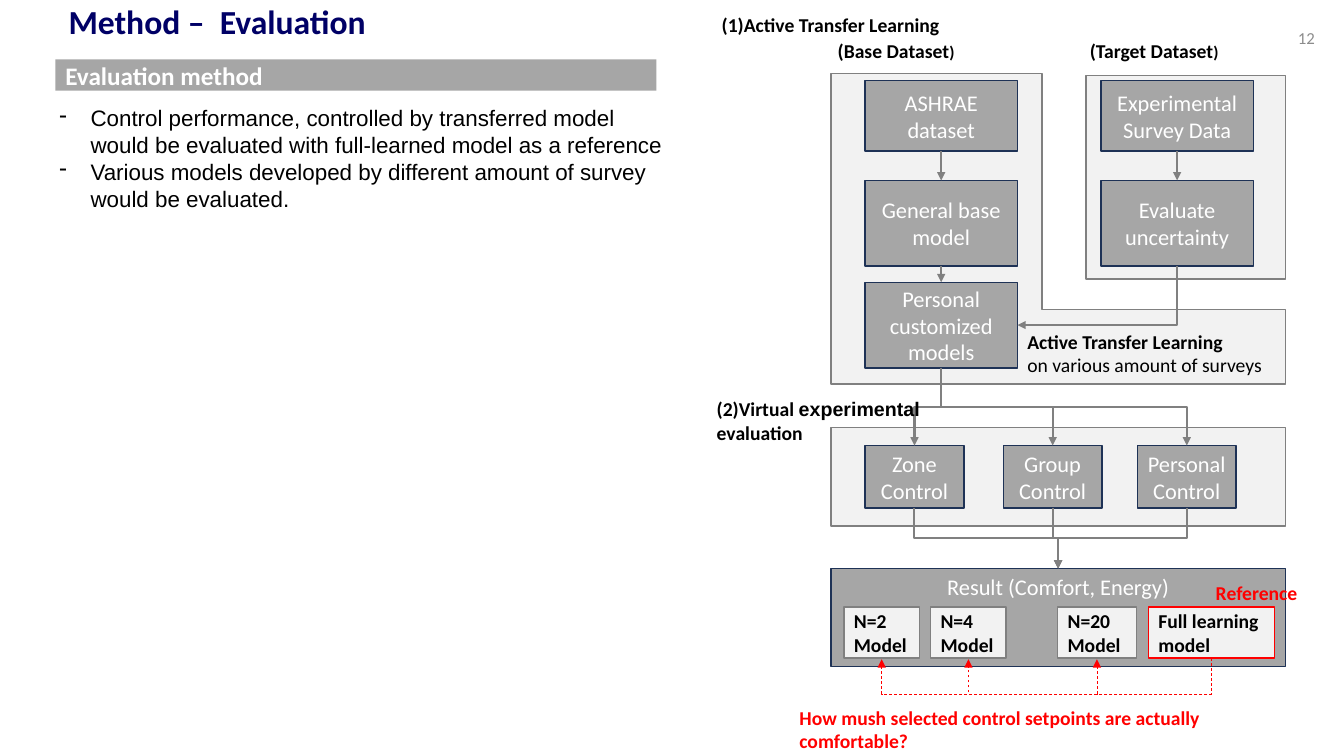
from pptx import Presentation
from pptx.dml.color import RGBColor
from pptx.enum.dml import MSO_LINE
from pptx.enum.shapes import MSO_CONNECTOR as LINK, MSO_SHAPE as SHAPE
from pptx.enum.text import MSO_ANCHOR as ANCHOR, PP_ALIGN as ALIGN
from pptx.oxml.ns import qn
from pptx.util import Inches, Pt
from lxml import etree

hex_color = RGBColor.from_string
GRAY, PALE, EDGE, NAVY = "A6A6A6", "F2F2F2", "808080", "1E3256"
WHITE, BLACK, RED = "FFFFFF", "000000", "FF0000"
TOP, BOTTOM, RIGHT = 0, 2, 3

deck = Presentation()
deck.slide_width, deck.slide_height = Inches(13.33), Inches(7.5)
slide = deck.slides.add_slide(deck.slide_layouts[5])
shapes = slide.shapes


def add_box(place, text="", size=14, color=BLACK, bold=False, align=ALIGN.LEFT,
            anchor=ANCHOR.MIDDLE, fill=None, line=None, kind=SHAPE.RECTANGLE, font="Calibri"):
    """Add a filled shape, or a text box when there is no fill; "|" parts the runs."""
    place = [Inches(value) for value in place]
    if fill:
        box = shapes.add_shape(kind, *place)
        box.shadow.inherit = False
        box.fill.solid()
        box.fill.fore_color.rgb = hex_color(fill)
        if line:
            box.line.color.rgb = hex_color(line)
            box.line.width = Pt(1)
        else:
            box.line.fill.background()
    else:
        box = shapes.add_textbox(*place)
    frame = box.text_frame
    frame.word_wrap = True
    frame.vertical_anchor = anchor
    frame.text = text
    for para in frame.paragraphs:
        para.alignment = align
        para.text, *others = para.text.split("|")
        for part in others:
            para.add_run().text = part
        for span in para.runs:
            span.font.name, span.font.size, span.font.bold = font, Pt(size), bold
            span.font.color.rgb = hex_color(color)
    return box


def add_arrow(start, end, kind=LINK.ELBOW, end_side=TOP, drop=None, color=EDGE, width=1.5):
    """Join the bottom of one box to a side of another; drop is the bend's depth."""
    arrow = shapes.add_connector(kind, 0, 0, 0, 0)
    arrow.begin_connect(start, BOTTOM)
    arrow.end_connect(end, end_side)
    arrow.line.color.rgb = hex_color(color)
    arrow.line.width = Pt(width)
    if color == RED:
        arrow.line.dash_style = MSO_LINE.DASH
    properties = arrow._element.spPr
    etree.SubElement(properties.find(qn("a:ln")), qn("a:tailEnd"), type="triangle")
    etree.SubElement(properties, qn("a:effectLst"))
    if kind == LINK.STRAIGHT:
        return
    # An elbow that leaves downwards is a horizontal one turned a quarter
    x1, y1, x2, y2 = arrow.begin_x, arrow.begin_y, arrow.end_x, arrow.end_y
    length, breadth = max(y2 - y1, Inches(0.01)), abs(x2 - x1)
    arrow.left = (x1 + x2 - length) // 2
    arrow.top = (2 * y1 + length - breadth) // 2
    arrow.width, arrow.height = length, breadth
    frame = properties.find(qn("a:xfrm"))
    for name in ("flipH", "flipV"):
        frame.attrib.pop(name, None)
    frame.set("rot", "16200000" if x2 > x1 else "5400000")
    if x2 > x1:
        frame.set("flipH", "1")
    geometry = properties.find(qn("a:prstGeom"))
    if end_side == RIGHT:
        geometry.set("prst", "bentConnector2")
    elif drop:
        bend = round(100000 * Inches(drop) / length)
        etree.SubElement(geometry.find(qn("a:avLst")), qn("a:gd"), name="adj1", fmla=f"val {bend}")


# Title, page number and section bar
title = shapes.title
title.left, title.top, title.width, title.height = [Inches(v) for v in (0.58, 0, 7.58, 0.44)]
title.text_frame.text = "Method –  Evaluation"
title.text_frame.vertical_anchor = ANCHOR.TOP
para = title.text_frame.paragraphs[0]
para.alignment, para.line_spacing = ALIGN.LEFT, 0.9
span = para.runs[0]
span.font.name, span.font.size, span.font.bold = "Calibri", Pt(24), True
span.font.color.rgb = hex_color("000066")
add_box((12.57, 0.18, 0.57, 0.4), "12", 12, "8C8C8C", align=ALIGN.RIGHT)
add_box((0.55, 0.59, 5.96, 0.31), "Evaluation method", 18, WHITE, True, fill=GRAY)

# Bulleted notes
notes = add_box(
    (0.49, 0.98, 6.31, 1.18),
    "Control performance, controlled by transferred model would be evaluated "
    "with full-learned model as a reference\n"
    "Various models developed by different amount of survey would be evaluated.",
    16, font="Arial")
for para in notes.text_frame.paragraphs:
    indents = para._p.get_or_add_pPr()
    indents.set("marL", str(Inches(0.31)))
    indents.set("indent", str(-Inches(0.31)))
    etree.SubElement(indents, qn("a:buChar"), char="-")

# Background panels
add_box((10.77, 0.75, 1.98, 2.02), fill=PALE, line=EDGE)
add_box((8.24, 4.24, 4.51, 0.98), fill=PALE, line=EDGE)
base_panel = add_box((8.24, 0.73, 4.51, 3.08), fill=PALE, line=EDGE, kind=SHAPE.CORNER)
base_panel.adjustments[0], base_panel.adjustments[1] = 0.24, 0.68

# Process steps
steps = {}
for name, x, y, width, height, text in [
    ("survey", 10.92, 0.8, 1.51, 0.7, "Experimental\nSurvey Data"),
    ("uncertainty", 10.92, 1.79, 1.51, 0.85, "Evaluate\nuncertainty"),
    ("dataset", 8.58, 0.8, 1.51, 0.7, "ASHRAE\ndataset"),
    ("general", 8.58, 1.79, 1.51, 0.85, "General base model"),
    ("personal", 8.58, 2.8, 1.51, 0.85, "Personal\ncustomized\nmodels"),
    ("zone control", 8.58, 4.42, 0.98, 0.62, "Zone\nControl"),
    ("group control", 9.95, 4.42, 0.98, 0.62, "Group\nControl"),
    ("personal control", 11.28, 4.42, 0.98, 0.62, "Personal\nControl"),
    ("result", 8.24, 5.64, 4.51, 0.97, "Result (Comfort, Energy)"),
]:
    anchor = ANCHOR.TOP if name == "result" else ANCHOR.MIDDLE
    steps[name] = add_box((x, y, width, height), text, 16, WHITE, align=ALIGN.CENTER,
                          anchor=anchor, fill=GRAY, line=NAVY)

# Arrows between the steps
for start, end in [("survey", "uncertainty"), ("dataset", "general"), ("general", "personal")]:
    add_arrow(steps[start], steps[end], LINK.STRAIGHT)
add_arrow(steps["uncertainty"], steps["personal"], end_side=RIGHT)
for control in ("zone control", "group control", "personal control"):
    add_arrow(steps["personal"], steps[control], drop=0.39)
    add_arrow(steps[control], steps["result"], drop=0.3)

# Compared models, each linked to the reference model
reference = add_box((11.39, 6.02, 1.25, 0.51), "Full learning\nmodel", bold=True,
                    fill=PALE, line=RED)
for x, width, count in [(8.37, 0.75, 2), (9.23, 0.75, 4), (10.49, 0.78, 20)]:
    model = add_box((x, 6.02, width, 0.51), f"N={count}\nModel", bold=True,
                    fill=PALE, line=EDGE)
    add_arrow(reference, model, end_side=BOTTOM, drop=0.36, color=RED, width=0.5)

# Labels
transfer = add_box((10.09, 3.22, 2.72, 0.57),
                   "Active Transfer Learning\non various amount of surveys",
                   bold=True, anchor=ANCHOR.TOP)
transfer.text_frame.paragraphs[1].runs[0].font.bold = False
virtual = add_box((7.01, 3.89, 2.39, 0.57), "(2)Virtual |experimental| evaluation",
                  bold=True, anchor=ANCHOR.TOP)
virtual.text_frame.paragraphs[0].runs[1].font.name = "Arial"
for x, text in [(8.21, "(Base Dataset|)"), (10.71, "(Target Dataset|)")]:
    label = add_box((x, 0.34, 1.49, 0.34), text, bold=True, anchor=ANCHOR.TOP)
    label.text_frame.paragraphs[0].runs[1].font.size = Pt(12)
for place, text, color in [
    ((7.06, 0.08, 3.36, 0.34), "(1)Active Transfer Learning", BLACK),
    ((11.96, 5.71, 1.03, 0.34), "Reference", RED),
    ((7.83, 6.95, 5.29, 0.34),
     "How mush selected control setpoints are actually comfortable?", RED),
]:
    add_box(place, text, color=color, bold=True, anchor=ANCHOR.TOP)

deck.save("out.pptx")
